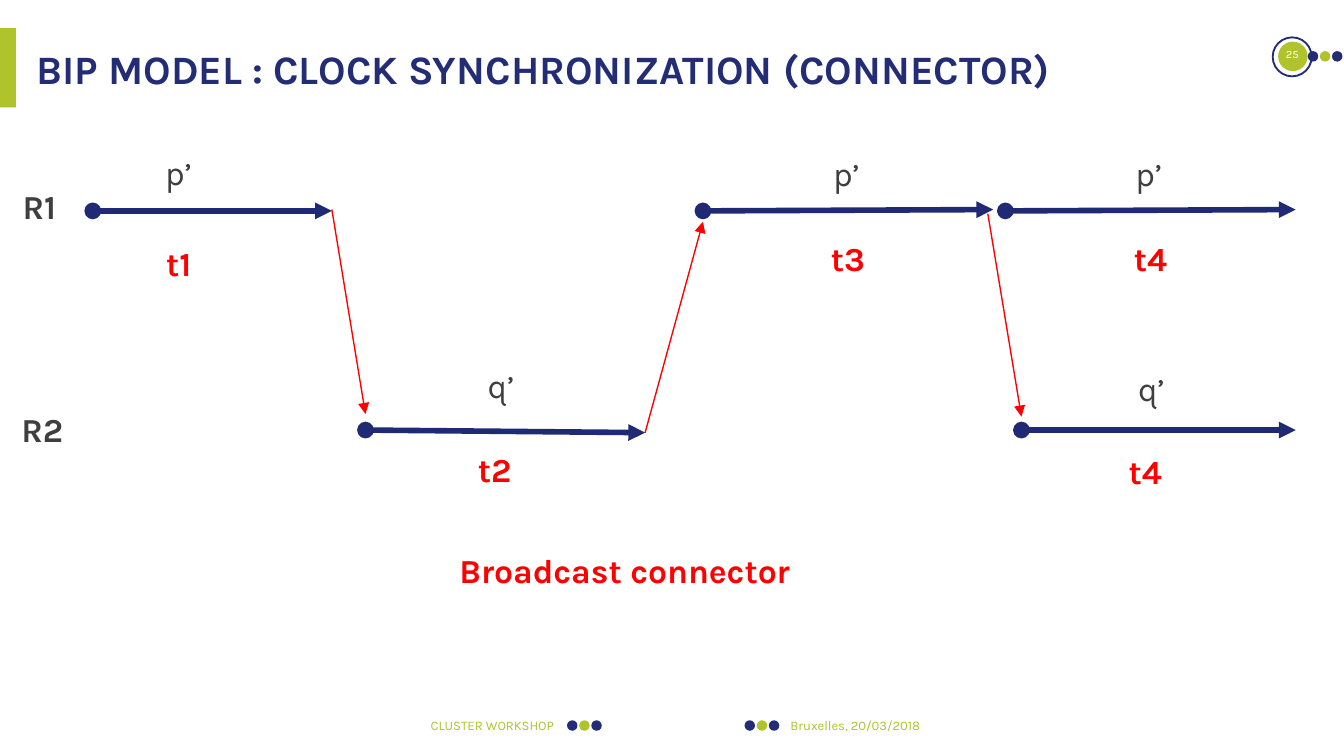
from lxml.etree import SubElement
from pptx import Presentation
from pptx.dml.color import RGBColor
from pptx.enum.shapes import MSO_CONNECTOR, MSO_SHAPE
from pptx.enum.text import MSO_ANCHOR, MSO_AUTO_SIZE, PP_ALIGN
from pptx.oxml.ns import qn
from pptx.util import Pt

NAVY, ARROW_NAVY, GREEN = "232D75", "202A74", "AFC32C"
RED, GRAY, WHITE = "FF0000", "3F3F3F", "FFFFFF"

FOOTERS = [
    ("CLUSTER WORKSHOP", (19.5, 378, 277.2, 21.6), PP_ALIGN.RIGHT, 7, GREEN),
    ("Bruxelles, 20/03/2018", (423.4, 378, 277.2, 21.6), PP_ALIGN.LEFT, 7, GREEN),
    ("25", (681.8, 21.6, 20.9, 15.1), PP_ALIGN.CENTER, 6, WHITE),
]
DOT_ROWS = [(303.8, 385.9), (398.9, 385.9), (700.6, 27.4)]
STEPS = [
    ((49.7, 113), (177.8, 113)),
    ((376.6, 113), (532.1, 112.3)),
    ((195.8, 230.4), (345.6, 231.8)),
    ((538.6, 113), (694.1, 112.3)),
    ((547.2, 230.4), (694.1, 230.4)),
]
HANDOVERS = [
    ((177.8, 112.3), (195.8, 221.8)),
    ((345.6, 231.8), (376.6, 118.8)),
    ((529.2, 114.5), (547.2, 223.2)),
]
TIMES = [
    ("t1", 74.9, 126.7),
    ("t3", 433.4, 123.8),
    ("t2", 244.1, 236.9),
    ("t4", 595.4, 123.8),
    ("t4", 592.6, 238.3),
]
PORTS = [
    ("p’", 81.4, 77.8),
    ("q’", 254.2, 192.2),
    ("p’", 439.2, 78.5),
    ("p’", 601.2, 78.5),
    ("q’", 602.6, 193.7),
]
ROWS = [("R1", 5, 95.8), ("R2", 4.3, 215.3)]


def color(value):
    return RGBColor.from_string(value)


def write(shape, text, size=18, fill=GRAY, bold=False, align=PP_ALIGN.LEFT,
          inset=(7.2, 3.6), anchor=MSO_ANCHOR.TOP, wrap=True,
          fit=MSO_AUTO_SIZE.SHAPE_TO_FIT_TEXT):
    frame = shape.text_frame
    frame.word_wrap = wrap
    frame.auto_size = fit
    frame.vertical_anchor = anchor
    frame.margin_left = frame.margin_right = Pt(inset[0])
    frame.margin_top = frame.margin_bottom = Pt(inset[1])
    paragraph = frame.paragraphs[0]
    paragraph.alignment = align
    run = paragraph.add_run()
    run.text = text
    run.font.name = "Karla"
    run.font.size = Pt(size)
    run.font.bold = bold
    run.font.color.rgb = color(fill)


def add_text(slide, text, box, **text_format):
    shape = slide.shapes.add_textbox(*map(Pt, box))
    write(shape, text, **text_format)


def add_shape(slide, kind, box, fill=None, line=None):
    shape = slide.shapes.add_shape(kind, *map(Pt, box))
    shape.shadow.inherit = False
    if fill:
        shape.fill.solid()
        shape.fill.fore_color.rgb = color(fill)
    else:
        shape.fill.background()
    if line:
        shape.line.color.rgb = color(line)
        shape.line.width = Pt(1)
    else:
        shape.line.fill.background()


def add_dots(slide, left, top):
    for index, fill in enumerate([NAVY, GREEN, NAVY]):
        add_shape(slide, MSO_SHAPE.OVAL, (left + index * 6.5, top, 5.6, 5.6), fill)


def add_arrow(slide, start, end, fill, width, head=None):
    connector = slide.shapes.add_connector(
        MSO_CONNECTOR.STRAIGHT, *map(Pt, (*start, *end)))
    connector.line.color.rgb = color(fill)
    connector.line.width = Pt(width)
    line = connector.line._get_or_add_ln()
    if head:
        SubElement(line, qn("a:headEnd"), type=head)
    SubElement(line, qn("a:tailEnd"), type="triangle")
    SubElement(connector._element.spPr, qn("a:effectLst"))


def add_title(slide, text):
    title = slide.shapes.title
    title.left, title.top, title.width, title.height = map(Pt, (19.5, 23, 662.4, 27.4))
    write(title, text, size=21.6, fill=NAVY, bold=True, inset=(0, 0),
          anchor=MSO_ANCHOR.MIDDLE, fit=MSO_AUTO_SIZE.NONE)


def add_frame(slide):
    add_shape(slide, MSO_SHAPE.OVAL, (684.7, 22.3, 15.8, 15.8), fill=GREEN)
    add_shape(slide, MSO_SHAPE.OVAL, (681.8, 20, 20.9, 20.9), line=NAVY)
    add_shape(slide, MSO_SHAPE.RECTANGLE, (0, 15.1, 8.6, 42.5), fill=GREEN)
    for left, top in DOT_ROWS:
        add_dots(slide, left, top)
    for text, box, align, size, fill in FOOTERS:
        add_text(slide, text, box, size=size, fill=fill, align=align, inset=(0, 0),
                 anchor=MSO_ANCHOR.MIDDLE, fit=MSO_AUTO_SIZE.NONE)


def add_timeline(slide):
    for start, end in STEPS:
        add_arrow(slide, start, end, ARROW_NAVY, 3, head="oval")
    for start, end in HANDOVERS:
        add_arrow(slide, start, end, RED, 0.75)
    for text, left, top in TIMES:
        add_text(slide, text, (left, top, 41.8, 28.8), fill=RED, bold=True,
                 align=PP_ALIGN.CENTER)
    for text, left, top in PORTS:
        add_text(slide, text, (left, top, 36, 28.8))
    for text, left, top in ROWS:
        add_text(slide, text, (left, top, 41.8, 28.8), bold=True)
    add_text(slide, "Broadcast connector", (239, 290.9, 194.4, 28.8), fill=RED,
             bold=True, wrap=False)


def main():
    presentation = Presentation()
    presentation.slide_width, presentation.slide_height = Pt(720), Pt(405)
    slide = presentation.slides.add_slide(presentation.slide_layouts[5])
    add_frame(slide)
    add_title(slide, "BIP MODEL : CLOCK SYNCHRONIZATION (CONNECTOR)")
    add_timeline(slide)
    presentation.save("out.pptx")


if __name__ == "__main__":
    main()
